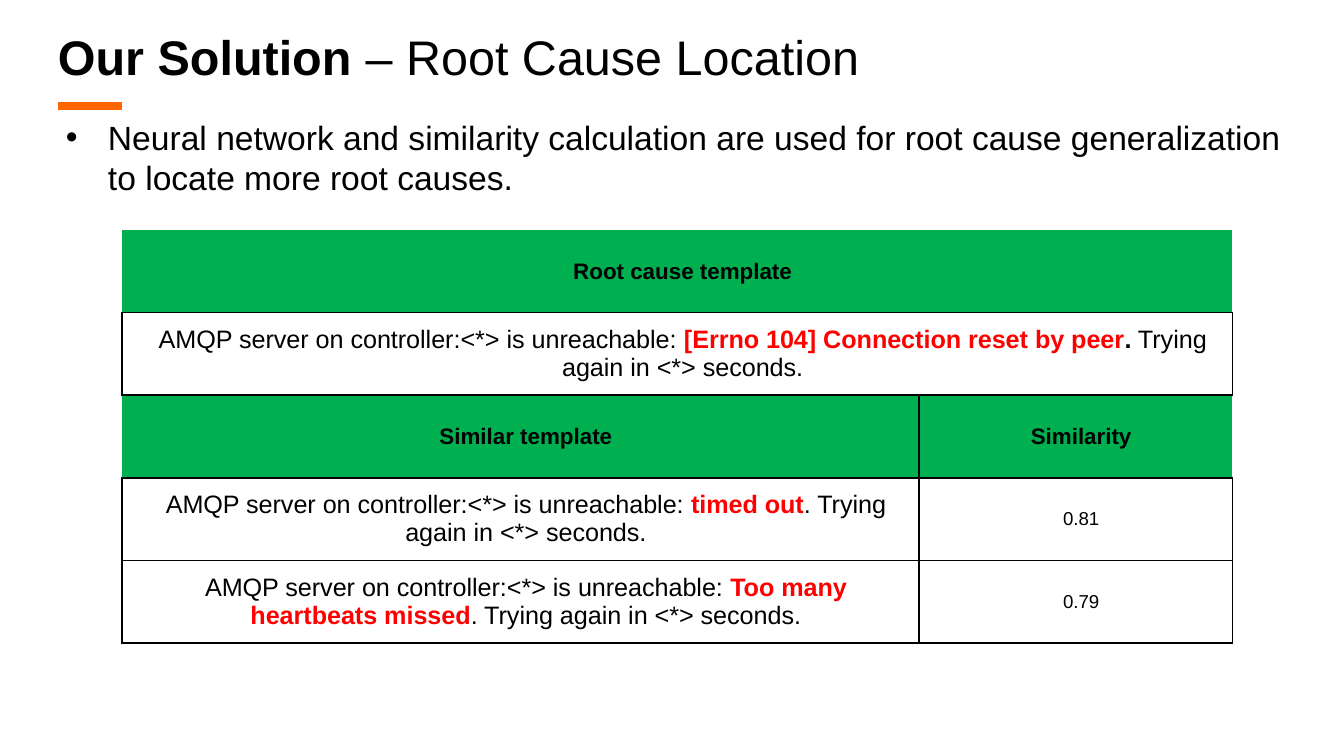
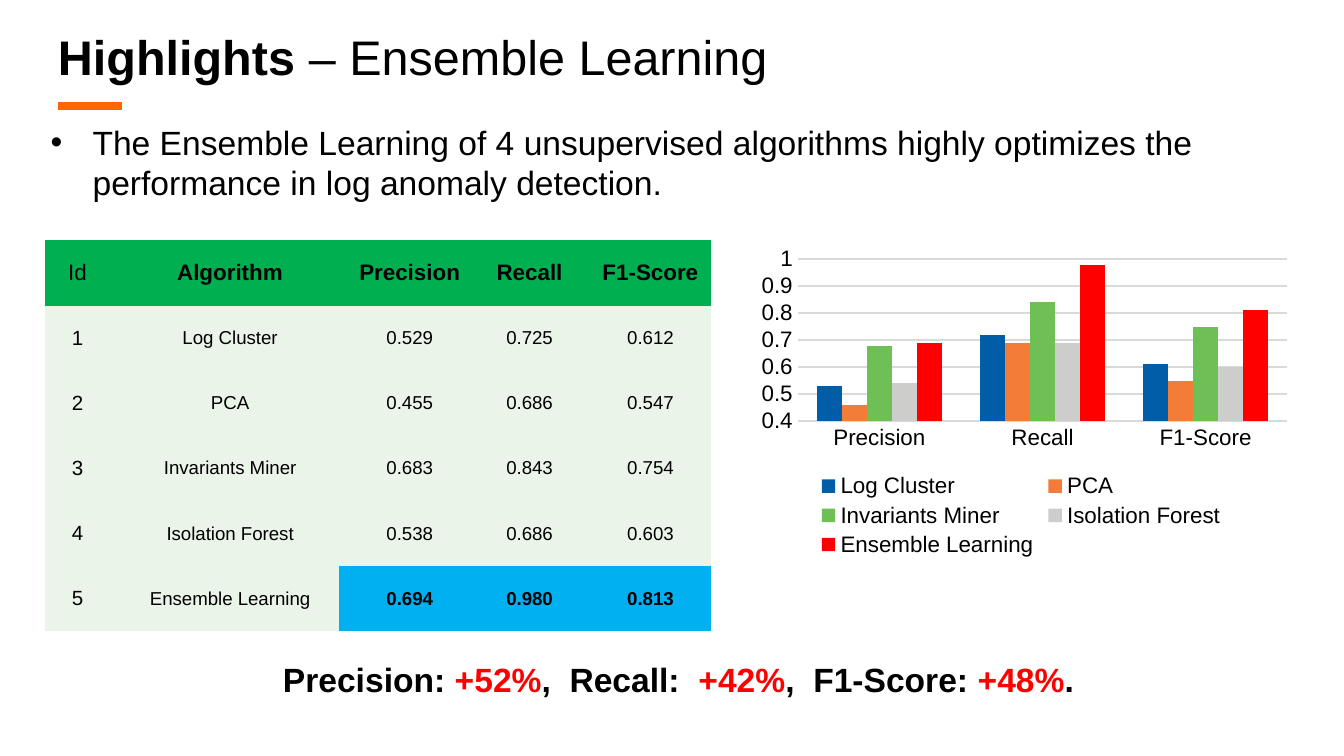
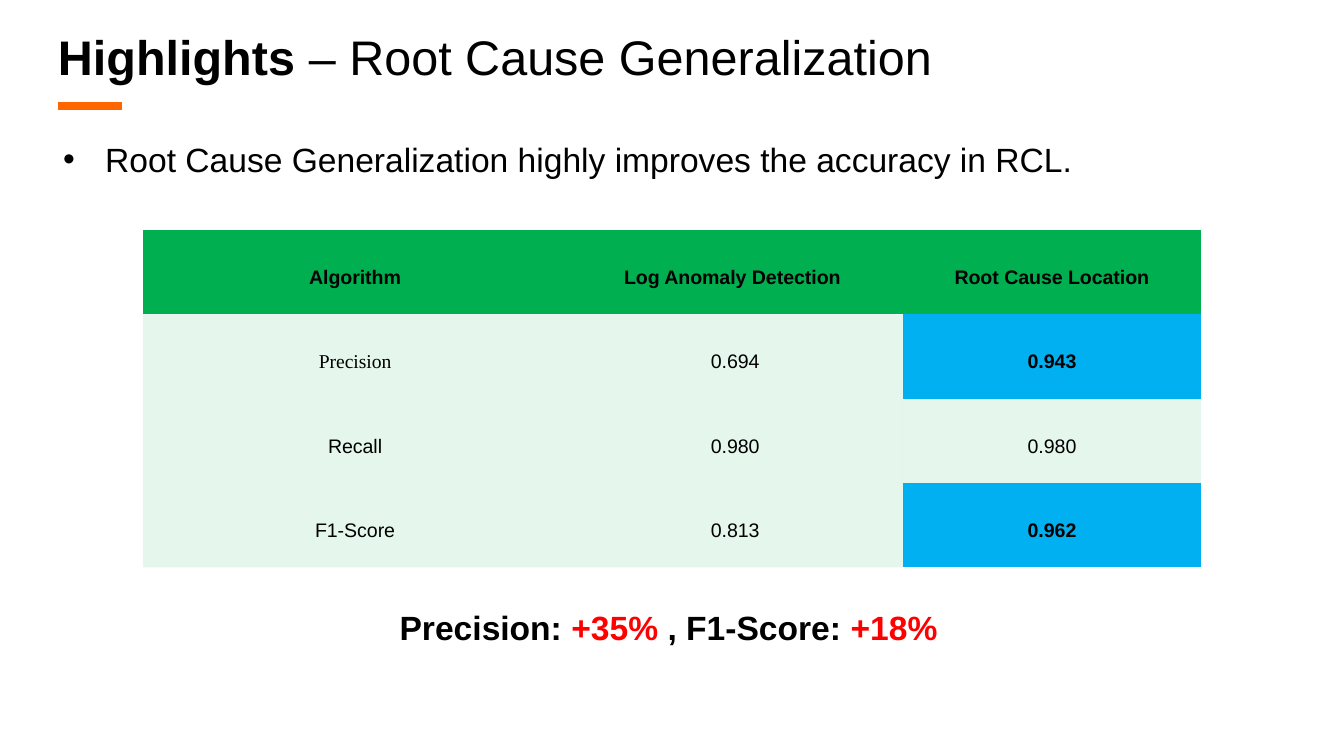
import pptx
import pptx.chart.data
import pptx.dml.color
import pptx.enum.chart
import pptx.enum.shapes
import pptx.enum.text
import pptx.oxml.ns
import pptx.util
from lxml import etree

Pt = pptx.util.Pt
RGBColor = pptx.dml.color.RGBColor
ALIGN = pptx.enum.text.PP_ALIGN
ANCHOR = pptx.enum.text.MSO_ANCHOR
AUTO_SIZE = pptx.enum.text.MSO_AUTO_SIZE

BLACK = RGBColor(0x00, 0x00, 0x00)
RED = RGBColor(0xFF, 0x00, 0x00)
ORANGE = RGBColor(0xFF, 0x66, 0x00)
GREEN = RGBColor(0x00, 0xB0, 0x50)
PALE_GREEN = RGBColor(0xEB, 0xF4, 0xE9)
BLUE = RGBColor(0x00, 0xB0, 0xF0)
GRID_GRAY = RGBColor(0xD9, 0xD9, 0xD9)
SERIES_COLORS = [
    RGBColor(0x02, 0x5D, 0xA9),
    RGBColor(0xF4, 0x7C, 0x39),
    RGBColor(0x6E, 0xBF, 0x56),
    RGBColor(0xCD, 0xCD, 0xCC),
    RED,
]
FONT = "Arial"

METRICS = ["Precision", "Recall", "F1-Score"]
SCORES = {
    "Log Cluster": ["0.529", "0.725", "0.612"],
    "PCA": ["0.455", "0.686", "0.547"],
    "Invariants Miner": ["0.683", "0.843", "0.754"],
    "Isolation Forest": ["0.538", "0.686", "0.603"],
    "Ensemble Learning": ["0.694", "0.980", "0.813"],
}


def add_child(parent, tag, **attributes):
    child = etree.SubElement(parent, pptx.oxml.ns.qn(tag))
    for name, value in attributes.items():
        child.set(name, str(value))
    return child


def set_font(font, size, color=BLACK, bold=False, name=FONT):
    font.size = Pt(size)
    font.name = name
    font.bold = bold
    font.color.rgb = color


def add_runs(paragraph, runs, size, name=FONT):
    for text, bold, color in runs:
        run = paragraph.add_run()
        run.text = text
        set_font(run.font, size, color, bold, name)


def add_text_box(slide, left, top, width, height, runs, size, wrap=True):
    shape = slide.shapes.add_textbox(Pt(left), Pt(top), Pt(width), Pt(height))
    shape.text_frame.word_wrap = wrap
    shape.text_frame.auto_size = AUTO_SIZE.SHAPE_TO_FIT_TEXT
    add_runs(shape.text_frame.paragraphs[0], runs, size)
    return shape.text_frame


def add_titled_slide(presentation, topic, subject):
    slide = presentation.slides.add_slide(presentation.slide_layouts[6])
    rule = slide.shapes.add_connector(
        pptx.enum.shapes.MSO_CONNECTOR.STRAIGHT, Pt(31), Pt(56.75), Pt(65.5), Pt(56.75))
    rule.line.color.rgb = ORANGE
    rule.line.width = Pt(4)
    add_child(rule._element.spPr, "a:effectLst")
    runs = [(topic, True, BLACK), (" – " + subject, False, BLACK)]
    frame = add_text_box(slide, 31, 0, 669, 45.5, runs, 26)
    frame.auto_size = AUTO_SIZE.NONE
    frame.vertical_anchor = ANCHOR.BOTTOM
    frame.margin_left = frame.margin_right = frame.margin_top = frame.margin_bottom = 0
    frame.paragraphs[0].line_spacing = 0.8
    return slide


def add_bullet(slide, left, top, width, text):
    frame = add_text_box(slide, left, top, width, 51, [(text, False, BLACK)], 18)
    properties = frame.paragraphs[0]._p.get_or_add_pPr()
    properties.set("marL", str(Pt(22.5)))
    properties.set("indent", str(-Pt(22.5)))
    add_child(properties, "a:buFont", typeface=FONT)
    add_child(properties, "a:buChar", char="•")


def add_summary(slide, left, top, width, parts, wrap=True):
    runs = [(text, True, RED if text.startswith("+") else BLACK) for text in parts]
    add_text_box(slide, left, top, width, 29, runs, 18, wrap)


def add_table(slide, left, top, widths, row_height, row_count):
    table = slide.shapes.add_table(
        row_count, len(widths), Pt(left), Pt(top),
        Pt(sum(widths)), Pt(row_height * row_count)).table
    table.first_row = False
    table.horz_banding = False
    for column, width in zip(table.columns, widths):
        column.width = Pt(width)
    for row in table.rows:
        row.height = Pt(row_height)
    return table


def style_cell(cell, fill=None, borders="", alpha=None, margin=3.75):
    properties = cell._tc.get_or_add_tcPr()
    for side in "LRTB":
        line = add_child(properties, "a:ln" + side, w=Pt(1))
        if side in borders:
            add_child(add_child(line, "a:solidFill"), "a:srgbClr", val=BLACK)
        else:
            add_child(line, "a:noFill")
    if fill is None:
        cell.fill.background()
    else:
        cell.fill.solid()
        cell.fill.fore_color.rgb = fill
    if alpha:
        color = properties.find(pptx.oxml.ns.qn("a:solidFill"))[0]
        add_child(color, "a:alpha", val=alpha * 1000)
    cell.vertical_anchor = ANCHOR.MIDDLE
    cell.margin_left = cell.margin_right = Pt(margin)
    cell.margin_top = cell.margin_bottom = 0


def write_cell(cell, runs, size, indent=0, spacing=None, name=FONT):
    paragraph = cell.text_frame.paragraphs[0]
    paragraph.alignment = ALIGN.CENTER
    paragraph.line_spacing = spacing
    paragraph._p.get_or_add_pPr().set("marL", str(Pt(indent)))
    add_runs(paragraph, runs, size, name)


def log_template(cause, dot_bold=False):
    return [
        ("AMQP server on controller:<*> is unreachable: ", False, BLACK),
        (cause, True, RED),
        (".", dot_bold, BLACK),
        (" Trying again in <*> seconds.", False, BLACK),
    ]


def add_template_table(slide):
    table = add_table(slide, 65.25, 123.25, [427, 168], 44.25, 5)
    borders = [("B", "B"), ("LRTB", "LRTB"), ("RTB", "LTB"),
               ("LRTB", "LRTB"), ("LRTB", "LRTB")]
    for row, sides in enumerate(borders):
        for column, side in enumerate(sides):
            style_cell(table.cell(row, column), GREEN if row in (0, 2) else None, side)
    for row in (0, 1):
        table.cell(row, 0).merge(table.cell(row, 1))
    headings = [(0, 0, "Root cause template"), (2, 0, "Similar template"), (2, 1, "Similarity")]
    for row, column, text in headings:
        write_cell(table.cell(row, column), [(text, True, BLACK)], 12, 6)
    write_cell(table.cell(1, 0),
               log_template("[Errno 104] Connection reset by peer", True), 13.5, 6)
    similar = [("timed out", "0.81"), ("Too many heartbeats missed", "0.79")]
    for row, (cause, similarity) in enumerate(similar, 3):
        write_cell(table.cell(row, 0), log_template(cause), 13.5, 6)
        write_cell(table.cell(row, 1), [(similarity, False, BLACK)], 10, 6)


def add_score_table(slide):
    rows = [["Id", "Algorithm"] + METRICS]
    rows += [[str(number), name] + values
             for number, (name, values) in enumerate(SCORES.items(), 1)]
    table = add_table(slide, 24, 128.75, [35, 122.5, 70, 58.5, 71], 34.95, len(rows))
    for row, texts in enumerate(rows):
        for column, text in enumerate(texts):
            best = row == len(rows) - 1 and column > 1
            bold = best or (row == 0 and column > 0)
            fill = GREEN if row == 0 else BLUE if best else PALE_GREEN
            size = 12 if row == 0 else 11 if column == 0 else 10
            cell = table.cell(row, column)
            style_cell(cell, fill)
            write_cell(cell, [(text, bold, BLACK)], size, 6 if column else 0)


def add_accuracy_table(slide):
    rows = [
        ["Algorithm", "Log Anomaly Detection ", "Root Cause Location"],
        ["Precision", "0.694", "0.943"],
        ["Recall", "0.980", "0.980"],
        ["F1-Score", "0.813", "0.962"],
    ]
    table = add_table(slide, 76.5, 123.25, [227.5, 179.75, 159.75], 45.2, len(rows))
    for row, texts in enumerate(rows):
        for column, text in enumerate(texts):
            improved = column == 2 and row in (1, 3)
            strong = row == 0 or improved
            cell = table.cell(row, column)
            style_cell(cell, BLUE if improved else GREEN,
                       alpha=None if strong else 10, margin=5)
            name = "Times New Roman" if text == "Precision" else FONT
            write_cell(cell, [(text, strong, BLACK)], 10.5, spacing=1.5, name=name)


def place_chart_part(part, index, target=None, **position):
    for old_layout in part.findall(pptx.oxml.ns.qn("c:layout")):
        part.remove(old_layout)
    layout = add_child(part, "c:layout")
    part.insert(index, layout)
    manual = add_child(layout, "c:manualLayout")
    if target:
        add_child(manual, "c:layoutTarget", val=target)
    add_child(manual, "c:xMode", val="edge")
    add_child(manual, "c:yMode", val="edge")
    for name, value in position.items():
        add_child(manual, "c:" + name, val=value)


def add_score_chart(slide):
    data = pptx.chart.data.CategoryChartData()
    data.categories = METRICS
    for name, values in SCORES.items():
        data.add_series(name, [round(float(value), 2) for value in values])
    chart = slide.shapes.add_chart(
        pptx.enum.chart.XL_CHART_TYPE.COLUMN_CLUSTERED,
        Pt(401), Pt(129), Pt(294.5), Pt(197.25), data).chart
    set_font(chart.font, 10)
    chart.has_title = False
    chart.has_legend = True
    chart.legend.position = pptx.enum.chart.XL_LEGEND_POSITION.BOTTOM
    chart.legend.include_in_layout = False
    set_font(chart.legend.font, 12)

    plot = chart.plots[0]
    plot.vary_by_categories = False
    plot.gap_width = 150
    plot.overlap = 0
    for series, color in zip(plot.series, SERIES_COLORS):
        series.format.fill.solid()
        series.format.fill.fore_color.rgb = color

    for axis in (chart.category_axis, chart.value_axis):
        axis.major_tick_mark = axis.minor_tick_mark = pptx.enum.chart.XL_TICK_MARK.NONE
        set_font(axis.tick_labels.font, 12)
    chart.category_axis.format.line.color.rgb = GRID_GRAY
    chart.category_axis.format.line.width = Pt(0.75)
    value_axis = chart.value_axis
    value_axis.format.line.fill.background()
    value_axis.minimum_scale = 0.4
    value_axis.maximum_scale = 1
    value_axis.major_unit = 0.1
    value_axis.tick_labels.number_format = "General"
    value_axis.tick_labels.number_format_is_linked = False
    value_axis.major_gridlines.format.line.color.rgb = GRID_GRAY
    value_axis.major_gridlines.format.line.width = Pt(0.75)

    place_chart_part(chart._chartSpace.chart.plotArea, 0, "inner",
                     x=0.09, y=0.05, w=0.89, h=0.44)
    place_chart_part(chart.legend._element, 1, x=0.12, y=0.62)


def main():
    presentation = pptx.Presentation()
    presentation.slide_width = Pt(720)
    presentation.slide_height = Pt(405)

    slide = add_titled_slide(presentation, "Our Solution", "Root Cause Location")
    add_template_table(slide)
    add_bullet(slide, 28.25, 59, 675, "Neural network and similarity calculation are used for "
               "root cause generalization to locate more root causes.")

    slide = add_titled_slide(presentation, "Highlights", "Ensemble Learning")
    add_score_table(slide)
    add_bullet(slide, 20, 61.75, 691, "The Ensemble Learning of 4 unsupervised algorithms "
               "highly optimizes the performance in log anomaly detection.")
    add_score_chart(slide)
    add_summary(slide, 144.5, 349.5, 493, ["Precision: ", "+52%", ",  Recall:  ", "+42%",
                                         ",  F1-Score: ", "+48%", "."])

    slide = add_titled_slide(presentation, "Highlights", "Root Cause Generalization")
    add_bullet(slide, 26.75, 71, 677.5,
               "Root Cause Generalization highly improves the accuracy in RCL.")
    add_accuracy_table(slide)
    add_summary(slide, 207, 321.5, 305,
                ["Precision: ", "+35% ", ", F1-Score: ", "+18%"], wrap=False)

    presentation.save("out.pptx")


if __name__ == "__main__":
    main()
